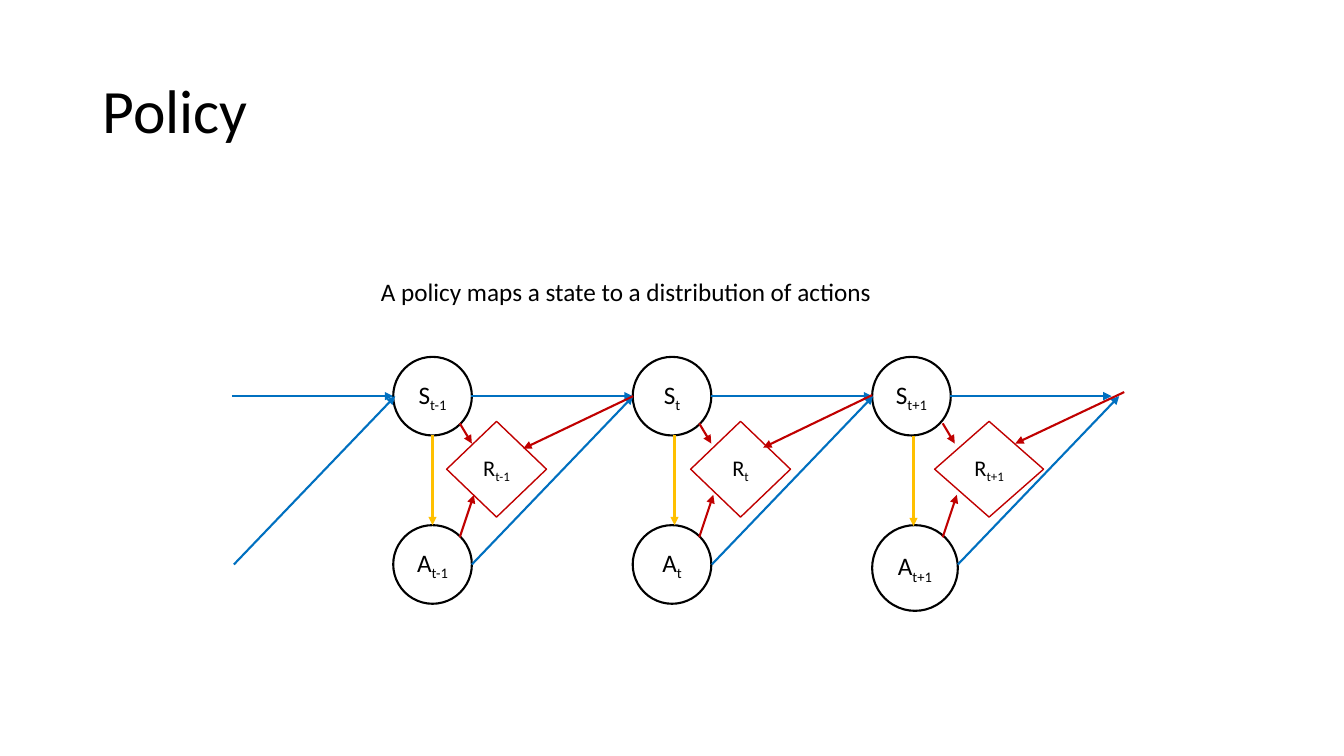
from typing import NamedTuple

from lxml import etree
from pptx import Presentation
from pptx.dml.color import RGBColor
from pptx.enum.shapes import MSO_CONNECTOR, MSO_SHAPE
from pptx.enum.text import MSO_ANCHOR, PP_ALIGN
from pptx.oxml.ns import qn
from pptx.util import Inches, Pt

STRAIGHT = MSO_CONNECTOR.STRAIGHT
CIRCLE, DIAMOND = MSO_SHAPE.OVAL, MSO_SHAPE.DIAMOND
MIDDLE, TOP = MSO_ANCHOR.MIDDLE, MSO_ANCHOR.TOP
CENTER, LEFT = PP_ALIGN.CENTER, PP_ALIGN.LEFT

FONT = "Calibri"
COLORS = {"text": "000000", "node": "FFFFFF", "transition": "0070C0",
          "reward": "C00000", "policy": "FFC000"}
FIRST_X, PITCH, GAP = 3.9, 2.375, 1.6
STATE_Y, ACTION_Y, REWARD_Y = 3.54, 5.21, 4.18
STATE_MID, ACTION_MID = 3.93, 5.6
DIAMETER, REWARD_H = 0.78, 0.95


class Step(NamedTuple):
    sub: str
    action_size: float
    reward_x: float
    reward_w: float
    feed_shift: float
    policy_x: float
    policy_y: float
    next_start: tuple[float, float]
    next_end: tuple[float, float]


class Node(NamedTuple):
    letter: str
    sub: str
    kind: int
    x: float
    y: float
    w: float
    h: float
    line: str
    weight: float
    size: float


class Arrow(NamedTuple):
    x1: float
    y1: float
    x2: float
    y2: float
    color: str


STEPS = [
    Step("t-1", 0.78, 4.43, 0.99, 0, 4.29, 4.32, (6.28, 3.93), (5.19, 4.45)),
    Step("t", 0.78, 6.85, 0.99, 0, 6.69, 4.32, (8.65, 3.92), (7.57, 4.44)),
    Step("t+1", 0.85, 9.27, 1.08, 0.04, 9.06, 4.33, (11.15, 3.89), (10.07, 4.4)),
]
DIAGONAL_STARTS = [2.32, 4.68, 7.06, 9.5]


def rgb(name: str) -> RGBColor:
    return RGBColor.from_string(COLORS[name])


def write(tf, text: str, *, size: float, sub: str = "", align=LEFT, anchor=TOP,
          wrap: bool = True, spacing: float = 1.0) -> None:
    tf.word_wrap = wrap
    tf.vertical_anchor = anchor
    p = tf.paragraphs[0]
    p.alignment = align
    p.line_spacing = spacing
    for part, baseline in ((text, 0), (sub, -25000)):
        if not part:
            continue
        r = p.add_run()
        r.text = part
        r.font.name = FONT
        r.font.size = Pt(size)
        r.font.color.rgb = rgb("text")
        if baseline:
            r.font._element.set("baseline", str(baseline))


def add_text(s, x: float, y: float, w: float, h: float, text: str, **fmt) -> None:
    tb = s.shapes.add_textbox(Inches(x), Inches(y), Inches(w), Inches(h))
    write(tb.text_frame, text, **fmt)


def add_node(s, n: Node) -> None:
    sp = s.shapes.add_shape(n.kind, Inches(n.x), Inches(n.y), Inches(n.w), Inches(n.h))
    sp.shadow.inherit = False
    sp.fill.solid()
    sp.fill.fore_color.rgb = rgb("node")
    sp.line.color.rgb = rgb(n.line)
    sp.line.width = Pt(n.weight)
    write(sp.text_frame, n.letter, sub=n.sub, size=n.size, align=CENTER,
          anchor=MIDDLE, wrap=False)


def add_arrow(s, a: Arrow) -> None:
    c = s.shapes.add_connector(STRAIGHT, Inches(a.x1), Inches(a.y1),
                               Inches(a.x2), Inches(a.y2))
    c.line.color.rgb = rgb(a.color)
    c.line.width = Pt(1.5)
    etree.SubElement(c.line._get_or_add_ln(), qn("a:tailEnd"), type="triangle")
    etree.SubElement(c._element.spPr, qn("a:effectLst"))


def main() -> None:
    prs = Presentation()
    prs.slide_width, prs.slide_height = Inches(13.33), Inches(7.5)
    s = prs.slides.add_slide(prs.slide_layouts[6])

    add_text(s, 0.92, 0.4, 11.5, 1.45, "Policy", size=44, anchor=MIDDLE, spacing=0.9)
    add_text(s, 3.68, 2.69, 5.45, 0.4,
             "A policy maps a state to a distribution of actions", size=18)

    columns = [(FIRST_X + i * PITCH, step) for i, step in enumerate(STEPS)]
    for x, t in columns:
        add_node(s, Node("S", t.sub, CIRCLE, x, STATE_Y, DIAMETER, DIAMETER,
                         "text", 1.5, 18))
        add_node(s, Node("A", t.sub, CIRCLE, x, ACTION_Y, t.action_size, t.action_size,
                         "text", 1.5, 18))

    for i, diagonal_x in enumerate(DIAGONAL_STARTS):
        x = FIRST_X - GAP + i * PITCH
        add_arrow(s, Arrow(x, STATE_MID, x + GAP, STATE_MID, "transition"))
        add_arrow(s, Arrow(diagonal_x, ACTION_MID, diagonal_x + GAP, STATE_MID,
                           "transition"))

    for _, t in columns:
        add_node(s, Node("R", t.sub, DIAMOND, t.reward_x, REWARD_Y, t.reward_w, REWARD_H,
                         "reward", 1, 16))

    for x, t in columns:
        feed = x + t.feed_shift
        add_arrow(s, Arrow(feed + 0.66, 4.2, feed + 0.78, 4.4, "reward"))
        add_arrow(s, Arrow(feed + 0.66, 5.33, feed + 0.8, 4.91, "reward"))
        add_arrow(s, Arrow(*t.next_start, *t.next_end, "reward"))
        add_arrow(s, Arrow(t.policy_x, t.policy_y, t.policy_x, t.policy_y + 0.89, "policy"))

    prs.save("out.pptx")


if __name__ == "__main__":
    main()
